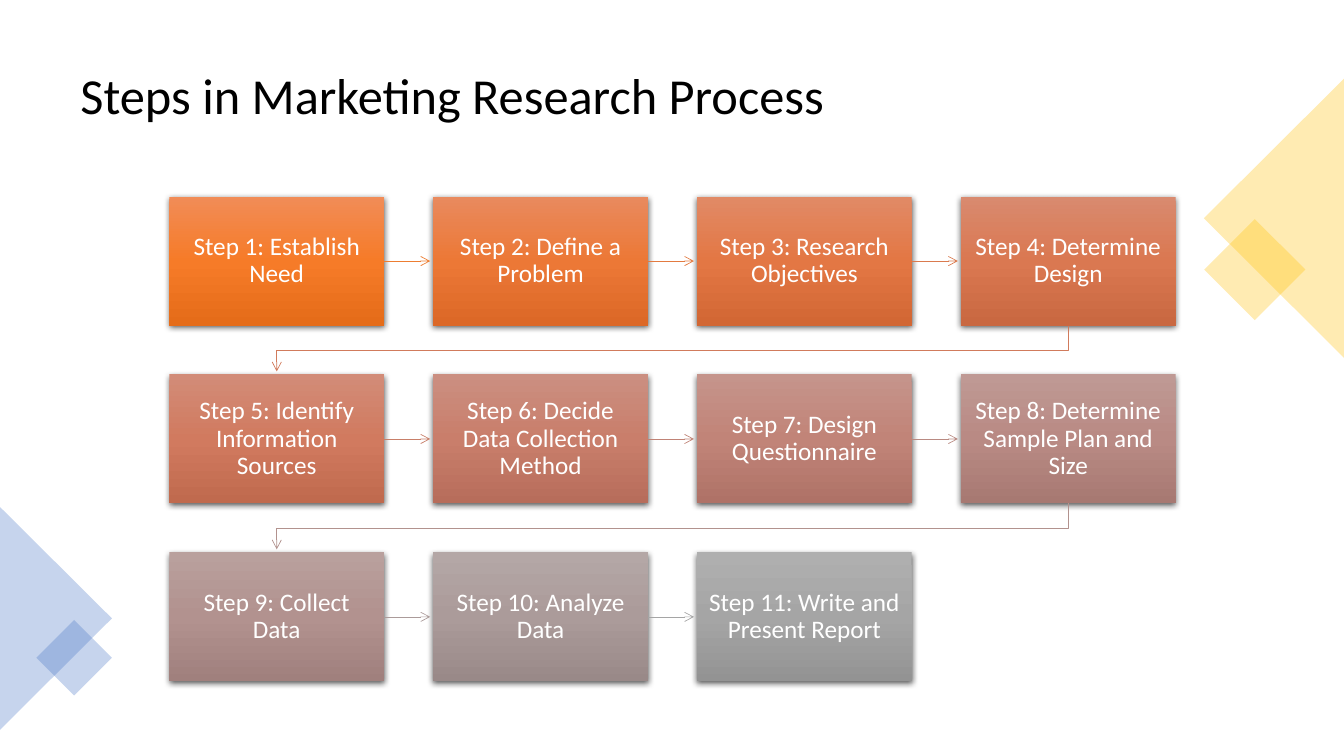
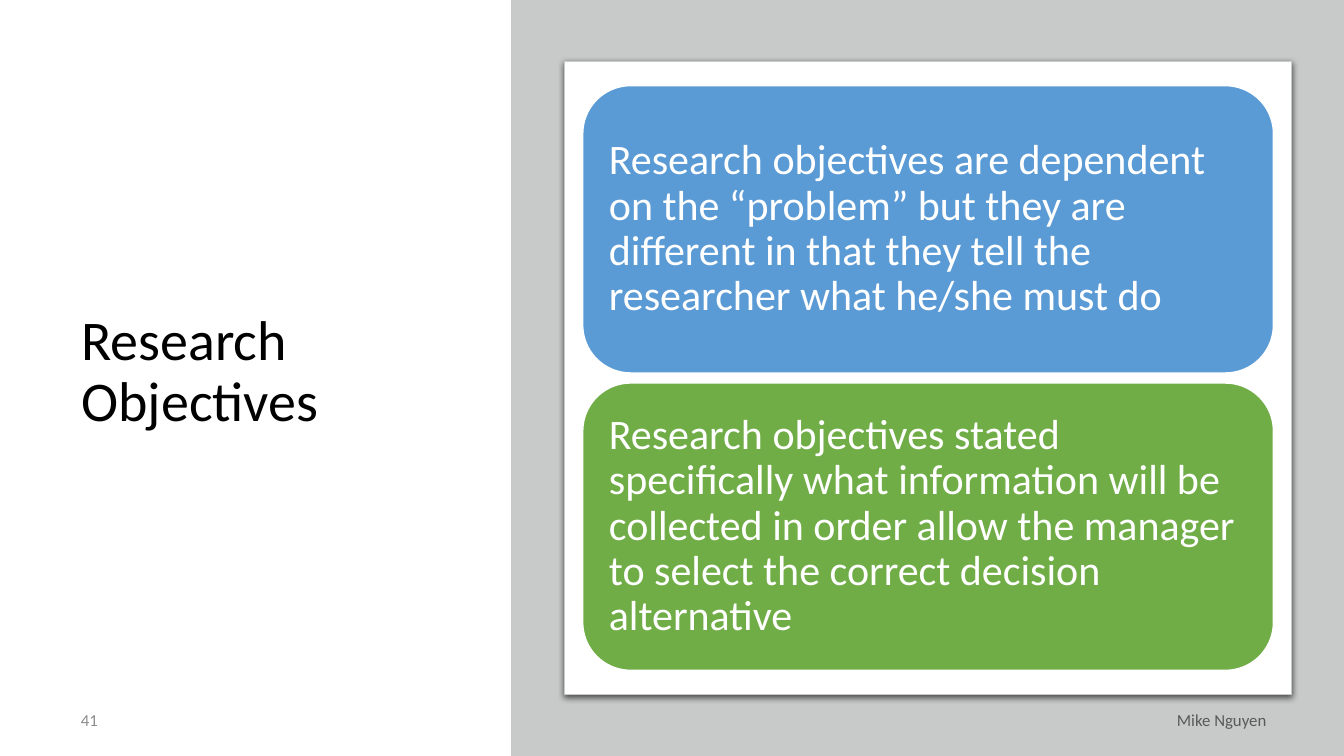
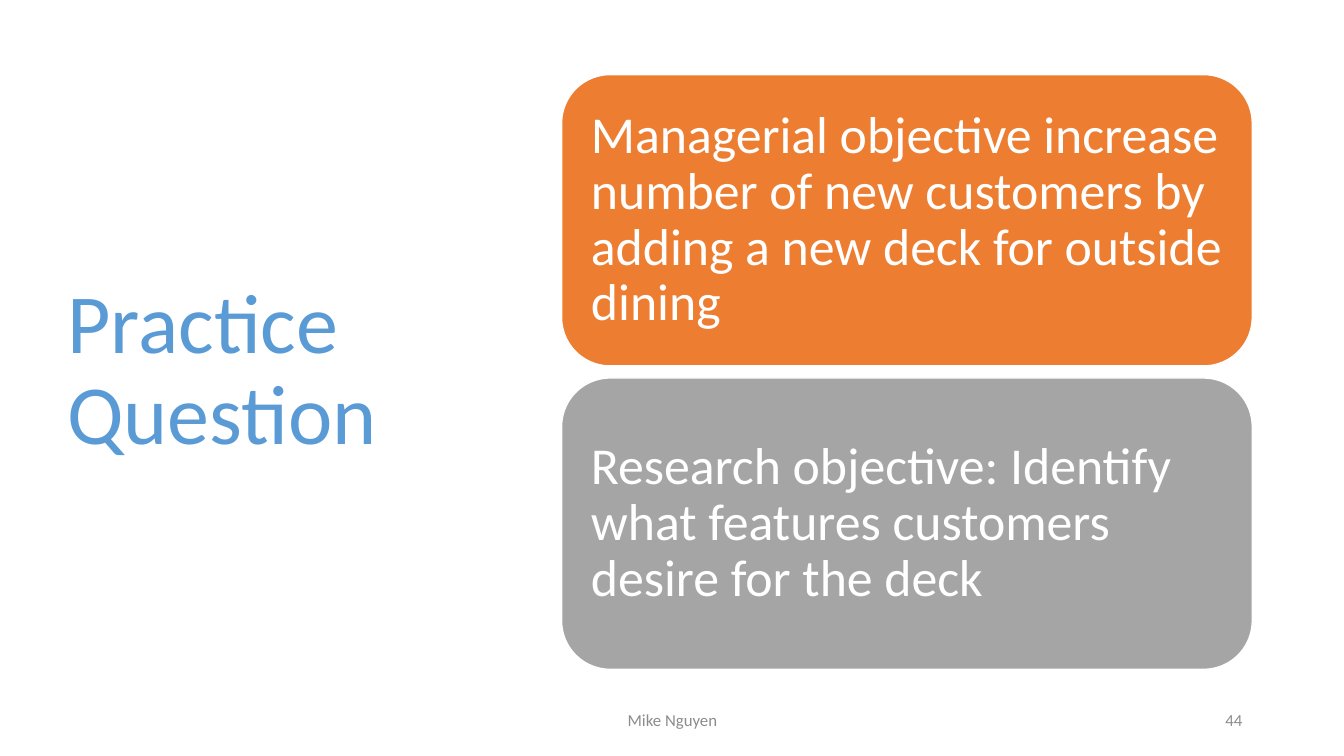
from copy import deepcopy
from dataclasses import dataclass

from lxml import etree
from pptx import Presentation
from pptx.dml.color import RGBColor
from pptx.enum.shapes import MSO_CONNECTOR, MSO_SHAPE
from pptx.enum.text import MSO_ANCHOR, PP_ALIGN
from pptx.oxml.ns import qn
from pptx.util import Inches, Pt

RECT, ROUND, TRIANGLE = MSO_SHAPE.RECTANGLE, MSO_SHAPE.ROUNDED_RECTANGLE, MSO_SHAPE.ISOSCELES_TRIANGLE
STRAIGHT, MIDDLE = MSO_CONNECTOR.STRAIGHT, MSO_ANCHOR.MIDDLE
LEFT, CENTER, RIGHT = PP_ALIGN.LEFT, PP_ALIGN.CENTER, PP_ALIGN.RIGHT


@dataclass(frozen=True)
class Theme:
    font: str = "Calibri"
    black: str = "000000"
    white: str = "FFFFFF"
    blue: str = "5B9BD5"
    navy: str = "4472C4"
    gold: str = "FFC000"
    green: str = "70AD47"
    orange: str = "ED7D31"
    gray: str = "A5A5A5"
    panel: str = "C8CACA"
    muted: str = "8C8C8C"
    dark: str = "595959"
    step: int = 18
    footer: int = 12
    title: int = 36
    side_title: int = 40
    big_title: int = 60
    body: int = 30
    big_body: int = 37


T = Theme()


def put(s, kind, at, fill=None, line=None, width=1, alpha=None, rotation=0, shadow=False):
    box = [Inches(v) for v in at]
    if kind is None:
        return s.shapes.add_textbox(*box)
    sp = s.shapes.add_shape(kind, *box)
    sp.rotation = rotation
    sp.shadow.inherit = False
    spPr = sp._element.spPr
    if isinstance(fill, tuple):
        sp.fill.gradient()
        sp.fill.gradient_angle = 270
        stops = spPr.find(".//" + qn("a:gsLst"))
        stops.insert(1, deepcopy(stops[0]))
        for i, stop in enumerate(sp.fill.gradient_stops):
            stop.color.rgb = RGBColor.from_string(fill[i])
            stop.position = i / 2
    else:
        sp.fill.solid()
        sp.fill.fore_color.rgb = RGBColor.from_string(fill)
    if alpha:
        etree.SubElement(spPr.find(".//" + qn("a:srgbClr")), qn("a:alpha"), val=str(alpha * 1000))
    if line:
        sp.line.color.rgb = RGBColor.from_string(line)
        sp.line.width = Pt(width)
    else:
        sp.line.fill.background()
    if shadow:
        outer = etree.SubElement(spPr.find(qn("a:effectLst")), qn("a:outerShdw"), blurRad=str(Pt(4.5)),
                                 dist=str(Pt(1.5)), dir="5400000", algn="ctr", rotWithShape="0")
        color = etree.SubElement(outer, qn("a:srgbClr"), val=T.black)
        etree.SubElement(color, qn("a:alpha"), val="63000")
    return sp


def write(sp, text, size, color, align=LEFT, inset=None):
    tf = sp.text_frame
    frame = {"word_wrap": True, "vertical_anchor": MIDDLE}
    if inset:
        frame.update({f"margin_{side}": Inches(inset) for side in ("left", "top", "right", "bottom")})
    p = tf.paragraphs[0]
    r = p.add_run()
    r.text = text
    for target, values in (
        (tf, frame),
        (p, {"alignment": align, "line_spacing": 0.9}),
        (r.font, {"name": T.font, "size": Pt(size)}),
    ):
        for name, value in values.items():
            setattr(target, name, value)
    r.font.color.rgb = RGBColor.from_string(color)


prs = Presentation()
prs.slide_width, prs.slide_height = Inches(13.33), Inches(7.5)
blank = prs.slide_layouts[6]

s = prs.slides.add_slide(blank)
write(put(s, None, (0.7, 0.35, 11.93, 1.24)), "Steps in Marketing Research Process", T.title, T.black)
for kind, at, color, rotation in (
    (RECT, (12.09, 2.32, 0.71, 0.71), T.gold, 45),
    (TRIANGLE, (11.25, 1.47, 2.77, 1.39), T.gold, 270),
    (TRIANGLE, (-0.55, 5.58, 2.21, 1.11), T.navy, 90),
    (RECT, (0.47, 6.26, 0.53, 0.53), T.navy, 45),
):
    put(s, kind, at, color, alpha=30, rotation=rotation)

steps = (
    ("Establish Need", ("F18C57", "F67B28", "E56C19"), "ED7D31"),
    ("Define a Problem", ("E98A5E", "EC7836", "DC6827"), "E37A40"),
    ("Research Objectives", ("E18A66", "E37744", "D26734"), "DA7A4E"),
    ("Determine Design", ("D98A6F", "DA7851", "C96841"), "D17B5C"),
    ("Identify Information Sources", ("D28C78", "D17A5F", "C06A4E"), "C87F69"),
    ("Decide Data Collection Method", ("CB8F81", "C97E6B", "B76D5B"), "C08376"),
    ("Design Questionnaire", ("C5948B", "C18478", "AF7267"), "B98A82"),
    ("Determine Sample Plan and Size", ("BF9994", "B98A84", "A77972"), "B2928E"),
    ("Collect Data", ("B9A09D", "B2928F", "A0807D"), "AB9B9A"),
    ("Analyze Data", ("B4A7A6", "AB9B9A", "998988"), "A5A5A5"),
    ("Write and Present Report", ("AFAFAF", "A5A5A5", "939393"), None),
)
columns = 4
step_w, step_h = 2.13, 1.28
grid_left, grid_top, last_left, last_top = 1.68, 1.95, 9.53, 5.48
pitch_x, pitch_y = (last_left - grid_left) / 3, (last_top - grid_top) / 2
clearance = Inches(0.03)

boxes = []
for i, (label, shades, _) in enumerate(steps):
    row, col = divmod(i, columns)
    sp = put(s, RECT, (grid_left + col * pitch_x, grid_top + row * pitch_y, step_w, step_h), shades, shadow=True)
    write(sp, f"Step {i + 1}: {label}", T.step, T.white, CENTER)
    boxes.append(sp)

for i, (a, b) in enumerate(zip(boxes, boxes[1:])):
    if a.top == b.top:
        y = a.top + a.height // 2
        arrow = s.shapes.add_connector(STRAIGHT, a.left + a.width, y, b.left - clearance, y)
        arrow.begin_connect(a, 3)
        etree.SubElement(arrow._element.spPr, qn("a:effectLst"))
    else:
        start_x, end_x = a.left + a.width // 2, b.left + b.width // 2
        start_y = a.top + a.height
        mid_y = (start_y + b.top) // 2
        path_builder = s.shapes.build_freeform(start_x, start_y)
        path_builder.add_line_segments(
            [(start_x, mid_y), (end_x, mid_y), (end_x, b.top - clearance)], close=False)
        arrow = path_builder.convert_to_shape()
        arrow.fill.background()
        arrow.shadow.inherit = False
    arrow.line.color.rgb = RGBColor.from_string(steps[i][2])
    arrow.line.width = Pt(0.5)
    etree.SubElement(arrow.line._get_or_add_ln(), qn("a:tailEnd"), type="arrow")

objective_slides = (
    {
        "title": ((0.71, 0.69, 4.01, 6.02), "Research Objectives", T.side_title, T.black),
        "backdrop": (
            ((5.07, 0, 8.26, 7.5), T.panel, None, False),
            ((5.6, 0.61, 7.21, 6.28), T.white, T.panel, True),
        ),
        "footers": (
            (0.32, 0.75, "41", T.muted, RIGHT),
            (5.42, 7.24, "Mike Nguyen", T.dark, RIGHT),
        ),
        "stack": (5.78, 0.85, 2.85, 0.1),
        "body": (T.body, 0.12),
        "cards": (
            ("Research objectives are dependent on the “problem” but they are different in that "
             "they tell the researcher what he/she must do", T.blue),
            ("Research objectives stated specifically what information will be collected in order "
             "allow the manager to select the correct decision alternative", T.green),
        ),
    },
    {
        "title": ((0.57, 0.68, 4.16, 6.02), "Practice Question", T.big_title, T.blue),
        "backdrop": (),
        "footers": (
            (4.42, 4.5, "Mike Nguyen", T.muted, CENTER),
            (9.42, 3, "44", T.muted, RIGHT),
        ),
        "stack": (5.57, 0.74, 2.89, 0.12),
        "body": (T.big_body, 0.15),
        "cards": (
            ("Managerial objective increase number of new customers by adding a new deck for "
             "outside dining", T.orange),
            ("Research objective: Identify what features customers desire for the deck", T.gray),
        ),
    },
)
card_w, footer_top, footer_h = 6.85, 6.95, 0.4

for content in objective_slides:
    s = prs.slides.add_slide(blank)
    at, text, size, color = content["title"]
    write(put(s, None, at), text, size, color)
    for at, fill, line, shadow in content["backdrop"]:
        put(s, RECT, at, fill, line, 0.75, shadow=shadow)
    for left, width, text, color, align in content["footers"]:
        write(put(s, None, (left, footer_top, width, footer_h)), text, T.footer, color, align)
    left, top, height, gap = content["stack"]
    size, inset = content["body"]
    for row, (text, fill) in enumerate(content["cards"]):
        sp = put(s, ROUND, (left, top + row * (height + gap), card_w, height), fill, T.white)
        write(sp, text, size, T.white, inset=inset)

prs.save("out.pptx")
